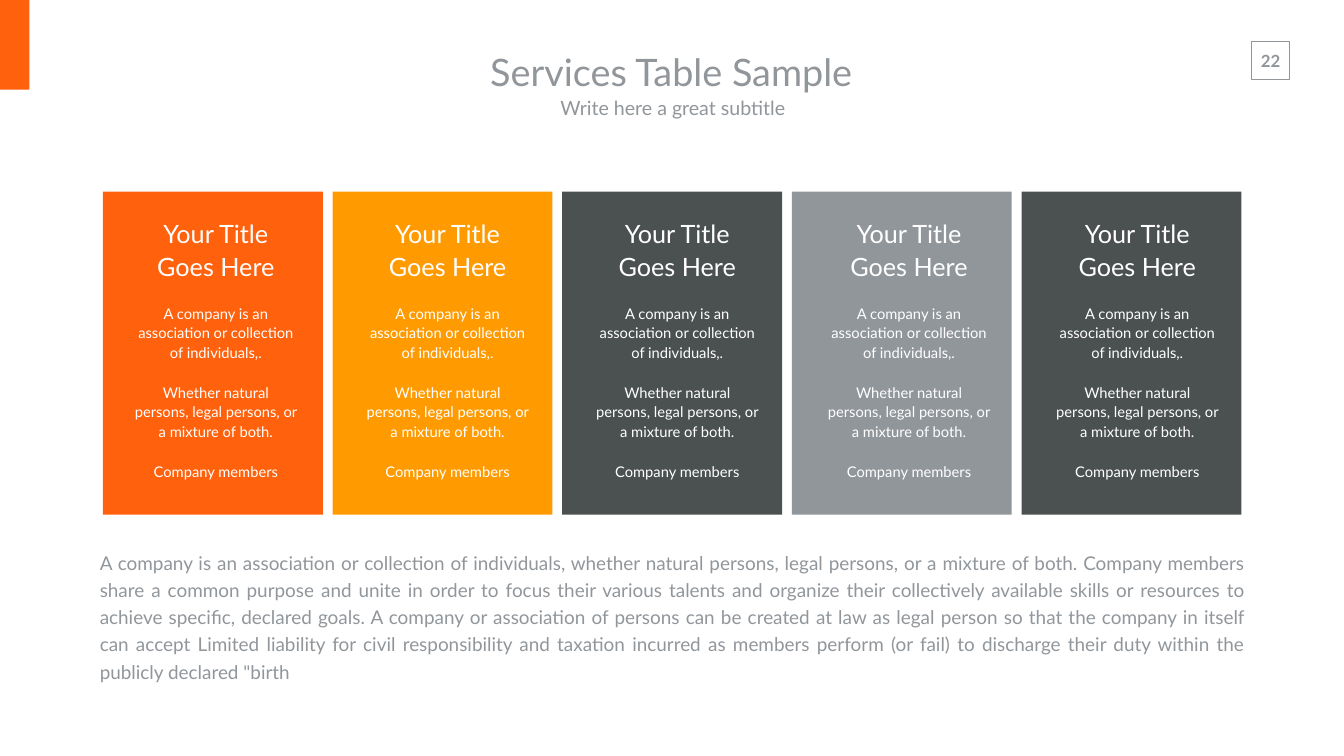
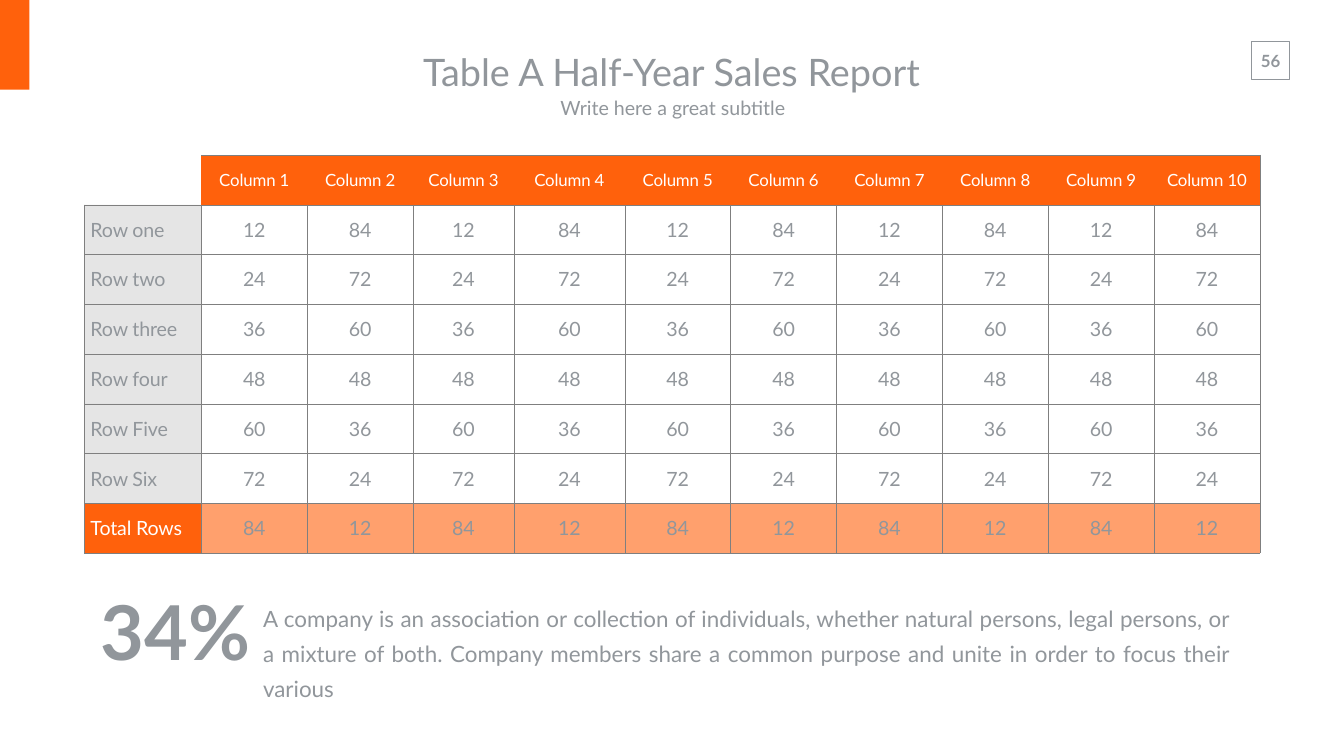
"""Builds a services slide and a half-year sales table slide."""
import pptx
import pptx.dml.color
import pptx.enum.shapes
import pptx.enum.text
import pptx.oxml
import pptx.oxml.ns
import pptx.util

Pt = pptx.util.Pt
RGBColor = pptx.dml.color.RGBColor
ALIGN = pptx.enum.text.PP_ALIGN
ANCHOR = pptx.enum.text.MSO_ANCHOR
AUTO_SIZE = pptx.enum.text.MSO_AUTO_SIZE

ORANGE = RGBColor(0xFF, 0x61, 0x0C)
AMBER = RGBColor(0xFF, 0x9B, 0x00)
PEACH = RGBColor(0xFF, 0xA0, 0x6D)
CHARCOAL = RGBColor(0x4B, 0x50, 0x50)
GRAY = RGBColor(0x91, 0x96, 0x9B)
LABEL_GRAY = RGBColor(0x55, 0x55, 0x55)
BORDER_GRAY = RGBColor(0x7F, 0x7F, 0x7F)
WHITE = RGBColor(0xFF, 0xFF, 0xFF)
FONT = "Lato"

SLIDE_WIDTH, SLIDE_HEIGHT = 1919.52, 1080
DEFAULT_INSETS = (7.2, 3.6, 7.2, 3.6)
HEADING_INSETS = (19.2, 9.6, 19.2, 9.6)
NUMBER_INSETS = (14.4, 7.2, 14.4, 7.2)
SUBTITLE = "Write here a great subtitle"

CARD_COLORS = (ORANGE, AMBER, CHARCOAL, GRAY, CHARCOAL)
CARD_LEFT, CARD_PITCH = 147, 328
CARD_TEXT_LEFTS = (178, 509, 837, 1168, 1494)
CARD_TEXTS = (
    ("Your Title Goes Here", 36),
    ("A company is an association or collection of individuals,.", 21),
    ("Whether natural persons, legal persons, or a mixture of both.", 21),
    ("Company members", 21),
)
SERVICES_TEXT = (
    "A company is an association or collection of individuals, whether natural persons, "
    "legal persons, or a mixture of both. Company members share a common purpose and unite "
    "in order to focus their various talents and organize their collectively available "
    "skills or resources to achieve specific, declared goals. A company or association of "
    "persons can be created at law as legal person so that the company in itself can accept "
    "Limited liability for civil responsibility and taxation incurred as members perform "
    '(or fail) to discharge their duty within the publicly declared "birth'
)
SALES_TEXT = (
    "A company is an association or collection of individuals, whether natural persons, "
    "legal persons, or a mixture of both. Company members share a common purpose and unite "
    "in order to focus their various"
)

ROW_LABELS = ("Row one", "Row two", "Row three", "Row four", "Row Five", "Row Six", "Total Rows")
COLUMN_WIDTHS = (167, 151.2, 151.2, 144, 158.4) + (151.2,) * 6
ROW_HEIGHT = 71.1
VALUE_STEP = 12


def add_rectangle(slide, left, top, width, height, fill=None, line=None):
    """Add a plain rectangle with an optional fill and outline."""
    shape = slide.shapes.add_shape(
        pptx.enum.shapes.MSO_SHAPE.RECTANGLE, Pt(left), Pt(top), Pt(width), Pt(height))
    shape.shadow.inherit = False
    if fill is None:
        shape.fill.background()
    else:
        shape.fill.solid()
        shape.fill.fore_color.rgb = fill
    if line is None:
        shape.line.fill.background()
    else:
        shape.line.color.rgb = line
        shape.line.width = Pt(1)


def style_paragraph(paragraph, text, size, color=GRAY, bold=False, align=ALIGN.CENTER):
    """Write a paragraph in the common font."""
    paragraph.text = text
    paragraph.alignment = align
    paragraph.font.name = FONT
    paragraph.font.size = Pt(size)
    paragraph.font.bold = bold
    paragraph.font.color.rgb = color


def add_text_frame(slide, left, top, width, height, insets=DEFAULT_INSETS,
                   anchor=ANCHOR.TOP, wrap=True, grow=True):
    """Add a text box and return its text frame."""
    frame = slide.shapes.add_textbox(Pt(left), Pt(top), Pt(width), Pt(height)).text_frame
    frame.word_wrap = wrap
    frame.auto_size = AUTO_SIZE.SHAPE_TO_FIT_TEXT if grow else AUTO_SIZE.NONE
    frame.vertical_anchor = anchor
    (frame.margin_left, frame.margin_top,
     frame.margin_right, frame.margin_bottom) = map(Pt, insets)
    return frame


def add_body(slide, left, top, width, height, text, size, spacing):
    """Add a justified block of running text."""
    paragraph = add_text_frame(slide, left, top, width, height).paragraphs[0]
    style_paragraph(paragraph, text, size, align=ALIGN.JUSTIFY)
    paragraph.line_spacing = spacing


def add_base_slide(presentation, number, title, title_left, title_width):
    """Add a slide with the number box, corner band, title and subtitle."""
    slide = presentation.slides.add_slide(presentation.slide_layouts[6])
    frame = add_text_frame(slide, 1785.6, 64.8, 58.3, 44, NUMBER_INSETS, wrap=False)
    style_paragraph(frame.paragraphs[0], number, 24, bold=True)
    add_rectangle(slide, 1787.8, 59, 54, 54, line=GRAY)
    add_rectangle(slide, 0, 0, 41.8, 128.2, fill=ORANGE)
    headings = ((title, 54, title_left, 59.8, title_width, 85),
                (SUBTITLE, 28, 589, 126.7, 743.8, 53.3))
    for text, size, left, top, width, height in headings:
        frame = add_text_frame(slide, left, top, width, height, HEADING_INSETS, ANCHOR.MIDDLE)
        style_paragraph(frame.paragraphs[0], text, size)
    return slide


def add_card_text(slide, left):
    """Add the title and description lines of one service card."""
    frame = add_text_frame(slide, left, 295.2, 246.2, 404, (14.4, 0, 0, 0),
                           ANCHOR.MIDDLE, grow=False)
    for index, (text, size) in enumerate(CARD_TEXTS):
        paragraph = frame.add_paragraph() if index else frame.paragraphs[0]
        style_paragraph(paragraph, text, size, WHITE)
        paragraph.line_spacing = 1.1
        if index:
            paragraph.space_before = Pt(30)


def set_borders(cell, sides):
    """Draw the named sides of a cell and clear the others."""
    properties = cell._tc.get_or_add_tcPr()
    namespace = pptx.oxml.ns.nsdecls("a")
    for side in "LRTB":
        paint = "<a:noFill/>"
        if side in sides:
            paint = (f'<a:solidFill><a:srgbClr val="{BORDER_GRAY}">'
                     '<a:alpha val="50000"/></a:srgbClr></a:solidFill>')
        properties.append(pptx.oxml.parse_xml(
            f'<a:ln{side} {namespace} w="{Pt(0.5)}">{paint}</a:ln{side}>'))


def fill_cell(cell, color=None, opacity=None):
    """Fill a cell, with an optional opacity in percent."""
    if color is None:
        cell.fill.background()
        return
    cell.fill.solid()
    cell.fill.fore_color.rgb = color
    if opacity is not None:
        color_element = cell._tc.tcPr.find(".//" + pptx.oxml.ns.qn("a:solidFill") + "[last()]")
        color_element = cell._tc.tcPr.findall(pptx.oxml.ns.qn("a:solidFill"))[0][0]
        color_element.append(pptx.oxml.parse_xml(
            f'<a:alpha {pptx.oxml.ns.nsdecls("a")} val="{opacity * 1000}"/>'))


def write_cell(cell, text, size, color, align=ALIGN.CENTER):
    """Write a table cell with slightly tightened text."""
    cell.vertical_anchor = ANCHOR.MIDDLE
    cell.margin_left = cell.margin_right = Pt(8.6)
    cell.margin_top = cell.margin_bottom = Pt(5)
    paragraph = cell.text_frame.paragraphs[0]
    style_paragraph(paragraph, text, size, color, align=align)
    paragraph._p.get_or_add_pPr().get_or_add_defRPr().set("spc", "-20")


def add_sales_table(slide):
    """Add the sales table with header, row labels and total row."""
    row_count, column_count = len(ROW_LABELS) + 1, len(COLUMN_WIDTHS)
    last_row, last_column = row_count - 1, column_count - 1
    table = slide.shapes.add_table(
        row_count, column_count, Pt(120.6), Pt(221.4),
        Pt(sum(COLUMN_WIDTHS)), Pt(ROW_HEIGHT * row_count)).table
    table.first_row = table.horz_banding = False
    for column, width in zip(table.columns, COLUMN_WIDTHS):
        column.width = Pt(width)
    for row in table.rows:
        row.height = Pt(ROW_HEIGHT)

    set_borders(table.cell(0, 0), "B")
    fill_cell(table.cell(0, 0))
    for column in range(1, column_count):
        header = table.cell(0, column)
        set_borders(header, "TBR" if column == last_column else "TB")
        fill_cell(header, ORANGE)
        write_cell(header, f"Column {column}", 24, WHITE)

    for row, text in enumerate(ROW_LABELS, 1):
        is_total = row == last_row
        label = table.cell(row, 0)
        set_borders(label, "LRTB")
        fill_cell(label, ORANGE if is_total else LABEL_GRAY, None if is_total else 15)
        write_cell(label, text, 28, WHITE if is_total else GRAY, ALIGN.LEFT)
        for column in range(1, column_count):
            value = VALUE_STEP * (row if column % 2 else row_count - row)
            cell = table.cell(row, column)
            set_borders(cell, "LRTB")
            fill_cell(cell, PEACH if is_total else None)
            write_cell(cell, str(value), 28, GRAY)


def build_services_slide(presentation):
    """Build the slide of five service cards."""
    slide = add_base_slide(presentation, "22", "Services Table Sample", 586.8, 743.8)
    for index, color in enumerate(CARD_COLORS):
        add_rectangle(slide, CARD_LEFT + index * CARD_PITCH, 273.6, 314, 461.5, fill=color)
    for left in CARD_TEXT_LEFTS:
        add_card_text(slide, left)
    add_body(slide, 135.4, 777.6, 1648.8, 163.4, SERVICES_TEXT, 27, 1.2)


def build_sales_slide(presentation):
    """Build the slide of the sales table and its key figure."""
    slide = add_base_slide(presentation, "56", "Table A Half-Year Sales Report", 414.7, 1088.6)
    add_body(slide, 368.6, 849.6, 1395.4, 105.8, SALES_TEXT, 32, 1.3)
    frame = add_text_frame(slide, 136.8, 832.3, 253.4, 138.2)
    style_paragraph(frame.paragraphs[0], "34%", 108, bold=True, align=ALIGN.LEFT)
    add_sales_table(slide)


def main():
    """Build and save the presentation."""
    presentation = pptx.Presentation()
    presentation.slide_width = Pt(SLIDE_WIDTH)
    presentation.slide_height = Pt(SLIDE_HEIGHT)
    build_services_slide(presentation)
    build_sales_slide(presentation)
    presentation.save("out.pptx")


if __name__ == "__main__":
    main()
